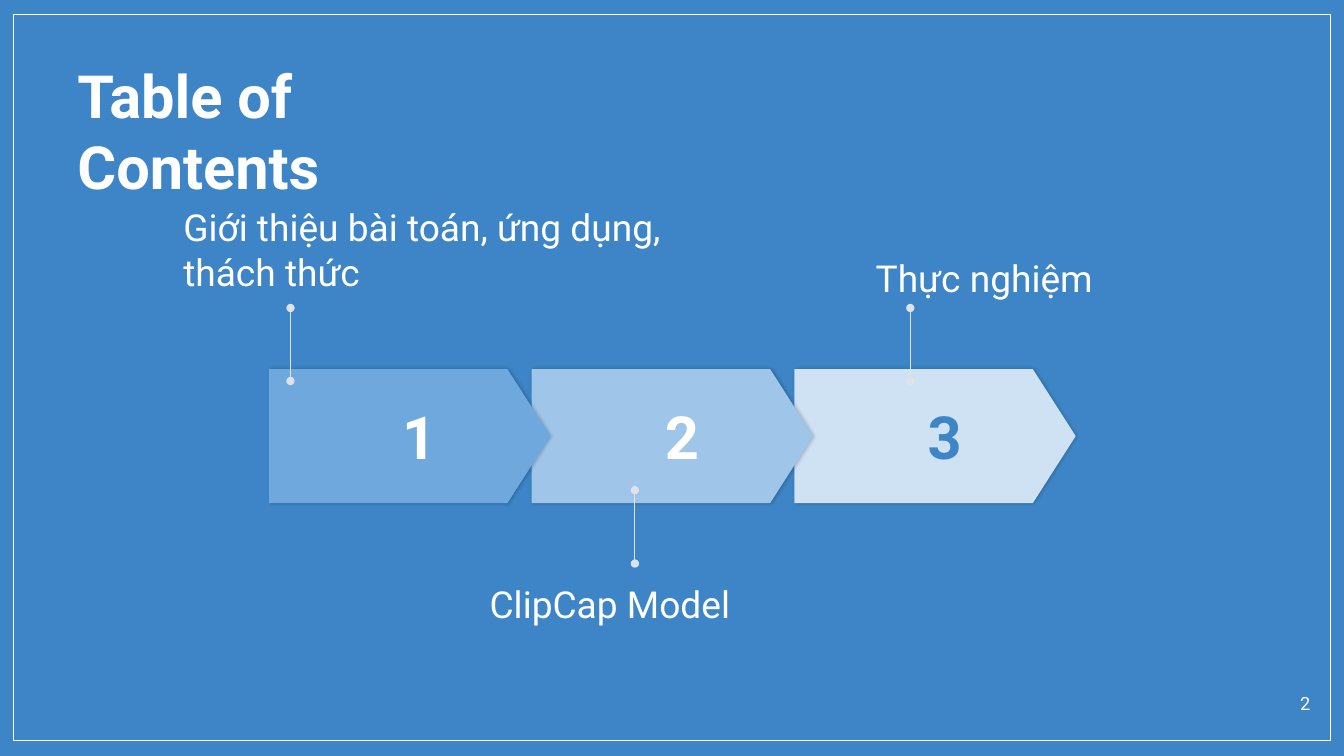
"""Build the table of contents slide with three numbered steps and their callouts."""
from dataclasses import dataclass

import lxml.etree
import pptx
import pptx.dml.color
import pptx.enum.shapes
import pptx.enum.text
import pptx.oxml.ns
import pptx.shapes.base
import pptx.slide
import pptx.text.text
import pptx.util

Cm = pptx.util.Cm
Align = pptx.enum.text.PP_ALIGN
Anchor = pptx.enum.text.MSO_ANCHOR
AutoSize = pptx.enum.text.MSO_AUTO_SIZE
Preset = pptx.enum.shapes.MSO_SHAPE
qn = pptx.oxml.ns.qn


@dataclass(frozen=True)
class Theme:
    font: str = "Roboto"
    background: str = "3D85C6"
    white: str = "FFFFFF"
    callout: str = "DFE3E9"
    shadow: str = "000000"
    heading_size: float = 42.5
    label_size: float = 26.5
    page_size: float = 13
    hairline: float = 0.75


@dataclass(frozen=True)
class Box:
    left: float
    top: float
    width: float
    height: float

    def lengths(self) -> tuple:
        return Cm(self.left), Cm(self.top), Cm(self.width), Cm(self.height)


@dataclass(frozen=True)
class Step:
    number: str
    fill: str
    number_color: str
    label: str
    label_box: Box
    callout_x: float
    callout_from: float
    callout_to: float


THEME = Theme()
FRAME = Box(0.33, 0.36, 33.2, 18.31)
TITLE = Box(1.7, 1.35, 11.48, 2.08)
PAGE_NUMBER = Box(31.57, 17.2, 1.7, 1.09)
FIRST_CHEVRON = Box(6.78, 9.3, 7.09, 3.38)
CHEVRON_PITCH = 6.62
STEPS = [
    Step("1", "6FA8DC", THEME.white, "Giới thiệu bài toán, ứng dụng, thách thức",
         Box(4.37, 5.03, 13.36, 2.51), 7.32, 9.6, 7.76),
    Step("2", "9FC5E8", THEME.white, "ClipCap Model",
         Box(12.09, 14.53, 7.87, 1.4), 16, 14.2, 12.35),
    Step("3", "CFE2F3", THEME.background, "Thực nghiệm",
         Box(21.82, 6.3, 12.04, 1.4), 22.94, 9.6, 7.76),
]


def rgb(value: str) -> pptx.dml.color.RGBColor:
    return pptx.dml.color.RGBColor.from_string(value)


def write(frame: pptx.text.text.TextFrame, text: str, *, size: float,
          color: str = THEME.white, bold: bool = False, align: Align = Align.LEFT,
          anchor: Anchor = Anchor.TOP, grow: bool = False,
          insets: tuple = (0.25, 0.13, 0.25, 0.13)) -> None:
    frame.word_wrap = True
    frame.auto_size = AutoSize.SHAPE_TO_FIT_TEXT if grow else AutoSize.NONE
    frame.vertical_anchor = anchor
    (frame.margin_left, frame.margin_top,
     frame.margin_right, frame.margin_bottom) = map(Cm, insets)
    paragraph = frame.paragraphs[0]
    paragraph.alignment = align
    run = paragraph.add_run()
    run.text = text
    run.font.name = THEME.font
    run.font.size = pptx.util.Pt(size)
    run.font.bold = bold
    run.font.color.rgb = rgb(color)


def add_soft_shadow(shape: pptx.shapes.base.BaseShape) -> None:
    shape.shadow.inherit = False
    effects = shape.element.spPr.find(qn("a:effectLst"))
    shadow = lxml.etree.SubElement(
        effects, qn("a:outerShdw"), blurRad=str(pptx.util.Pt(2.2)),
        dist=str(pptx.util.Pt(0.8)), dir="0", algn="ctr", rotWithShape="0")
    color = lxml.etree.SubElement(shadow, qn("a:srgbClr"), val=THEME.shadow)
    lxml.etree.SubElement(color, qn("a:alpha"), val="20000")


def add_frame(slide: pptx.slide.Slide) -> None:
    border = slide.shapes.add_shape(Preset.RECTANGLE, *FRAME.lengths())
    border.shadow.inherit = False
    border.fill.background()
    border.line.color.rgb = rgb(THEME.white)
    border.line.width = pptx.util.Pt(THEME.hairline)


def add_chevron(slide: pptx.slide.Slide, step: Step, index: int) -> None:
    box = Box(FIRST_CHEVRON.left + index * CHEVRON_PITCH, FIRST_CHEVRON.top,
              FIRST_CHEVRON.width, FIRST_CHEVRON.height)
    chevron = slide.shapes.add_shape(Preset.PENTAGON, *box.lengths())
    chevron.adjustments[0] = 0.32
    chevron.fill.solid()
    chevron.fill.fore_color.rgb = rgb(step.fill)
    chevron.line.fill.background()
    add_soft_shadow(chevron)
    write(chevron.text_frame, step.number, size=THEME.heading_size,
          color=step.number_color, bold=True, align=Align.CENTER,
          anchor=Anchor.MIDDLE, insets=(1.02, 0, 0, 0))


def add_callout(slide: pptx.slide.Slide, step: Step) -> None:
    callout = slide.shapes.add_connector(
        pptx.enum.shapes.MSO_CONNECTOR.STRAIGHT,
        Cm(step.callout_x), Cm(step.callout_from),
        Cm(step.callout_x), Cm(step.callout_to))
    callout.line.color.rgb = rgb(THEME.callout)
    callout.line.width = pptx.util.Pt(THEME.hairline)
    properties = callout.element.spPr
    outline = properties.find(qn("a:ln"))
    for end in ("a:headEnd", "a:tailEnd"):
        lxml.etree.SubElement(outline, qn(end), type="oval")
    lxml.etree.SubElement(properties, qn("a:effectLst"))


def add_label(slide: pptx.slide.Slide, step: Step) -> None:
    label = slide.shapes.add_textbox(*step.label_box.lengths())
    write(label.text_frame, step.label, size=THEME.label_size, grow=True)


def main() -> None:
    deck = pptx.Presentation()
    deck.slide_width, deck.slide_height = Cm(33.87), Cm(19.05)
    slide = deck.slides.add_slide(deck.slide_layouts[5])
    slide.background.fill.solid()
    slide.background.fill.fore_color.rgb = rgb(THEME.background)

    title = slide.shapes.title
    title.left, title.top, title.width, title.height = TITLE.lengths()
    write(title.text_frame, "Table of Contents", size=THEME.heading_size,
          bold=True, grow=True)

    add_frame(slide)
    page_number = slide.shapes.add_textbox(*PAGE_NUMBER.lengths())
    write(page_number.text_frame, "2", size=THEME.page_size, align=Align.RIGHT,
          insets=(0.25, 0.25, 0.25, 0.25))

    for index, step in reversed(list(enumerate(STEPS))):
        add_chevron(slide, step, index)
    for step in STEPS:
        add_callout(slide, step)
        add_label(slide, step)

    deck.save("out.pptx")


if __name__ == "__main__":
    main()
